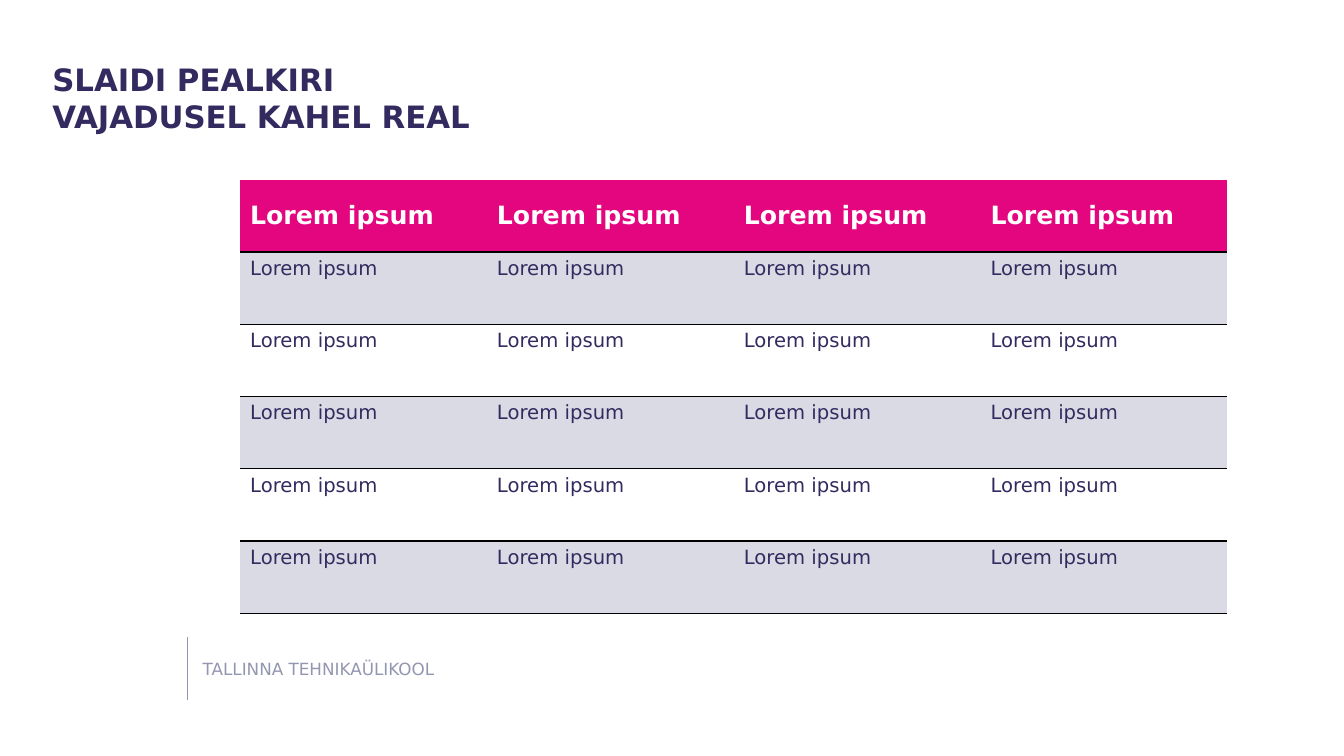
import pptx
import pptx.dml.color
import pptx.enum.shapes
import pptx.enum.text
import pptx.oxml
import pptx.oxml.ns
import pptx.util
from pptx.util import Cm

FONT = "DejaVu Sans"
NAVY, GREY, PINK = "332B60", "9396B0", "E4067E"
LILAC, WHITE, BLACK = "DADAE4", "FFFFFF", "000000"
NO_GRID_STYLE = "{2D5ABB26-0587-4C30-8999-92F81FD0307C}"


def colour(value):
    """Return the colour for a hex string."""
    return pptx.dml.color.RGBColor.from_string(value)


def add_run(para, text, size, ink, bold=False):
    """Append one formatted run to a paragraph."""
    span = para.add_run()
    span.text = text
    span.font.name = FONT
    span.font.size = pptx.util.Pt(size)
    span.font.bold = bold
    span.font.color.rgb = colour(ink)


def clear_frame(frame):
    """Make a text frame wrap, start at the top and have no margins."""
    frame.word_wrap = True
    frame.auto_size = pptx.enum.text.MSO_AUTO_SIZE.NONE
    frame.vertical_anchor = pptx.enum.text.MSO_ANCHOR.TOP
    frame.margin_left = frame.margin_right = 0
    frame.margin_top = frame.margin_bottom = 0


def set_title(page, lines):
    """Place the title and write its lines with breaks between them."""
    title = page.shapes.title
    title.left, title.top = Cm(1.32), Cm(1.52)
    title.width, title.height = Cm(24.51), Cm(2.31)
    clear_frame(title.text_frame)
    para = title.text_frame.paragraphs[0]
    para.alignment = pptx.enum.text.PP_ALIGN.LEFT
    para.line_spacing = pptx.util.Pt(26.4)
    for index, line in enumerate(lines):
        if index:
            para.add_line_break()
        add_run(para, line, 22, NAVY, bold=True)


def add_footer(page, text):
    """Add the footer text and the thin rule to its left."""
    box = page.shapes.add_textbox(Cm(5.11), Cm(16.59), Cm(7.67), Cm(0.48))
    clear_frame(box.text_frame)
    add_run(box.text_frame.paragraphs[0], text, 12, GREY)
    rule = page.shapes.add_connector(
        pptx.enum.shapes.MSO_CONNECTOR.STRAIGHT,
        Cm(4.72), Cm(16.05), Cm(4.72), Cm(17.63))
    rule.line.color.rgb = colour(GREY)
    rule.line.width = pptx.util.Pt(0.5)
    properties = rule._element.spPr
    properties.append(properties.makeelement(pptx.oxml.ns.qn("a:effectLst"), {}))


def add_bottom_border(cell):
    """Draw a one-point black line under a table cell."""
    border = pptx.oxml.parse_xml(
        f'<a:lnB {pptx.oxml.ns.nsdecls("a")} w="{pptx.util.Pt(1)}">'
        f'<a:solidFill><a:srgbClr val="{BLACK}"/></a:solidFill></a:lnB>')
    cell._tc.get_or_add_tcPr().insert(0, border)


def fill_cell(cell, text, row):
    """Write and colour a cell according to its row."""
    header = row == 0
    fill = PINK if header else LILAC if row % 2 else WHITE
    cell.fill.solid()
    cell.fill.fore_color.rgb = colour(fill)
    para = cell.text_frame.paragraphs[0]
    if header:
        cell.vertical_anchor = pptx.enum.text.MSO_ANCHOR.MIDDLE
        add_run(para, text, 18, WHITE, bold=True)
    else:
        add_run(para, text, 14, NAVY)
    add_bottom_border(cell)


def add_striped_table(page, rows):
    """Add the table with a header and alternating row fills."""
    width, height = Cm(6.22), Cm(1.82)
    count = len(rows[0])
    table = page.shapes.add_table(
        len(rows), count, Cm(6.05), Cm(4.53),
        width * count, height * len(rows)).table
    style = table._tbl.tblPr.find(pptx.oxml.ns.qn("a:tableStyleId"))
    style.text = NO_GRID_STYLE
    for row, texts in enumerate(rows):
        for column, text in enumerate(texts):
            fill_cell(table.cell(row, column), text, row)


def main():
    """Build and save the deck."""
    deck = pptx.Presentation()
    deck.slide_width, deck.slide_height = Cm(33.87), Cm(19.05)
    page = deck.slides.add_slide(deck.slide_layouts.get_by_name("Title Only"))
    add_footer(page, "TALLINNA TEHNIKAÜLIKOOL")
    set_title(page, ["SLAIDI PEALKIRI", "VAJADUSEL KAHEL REAL"])
    add_striped_table(page, [["Lorem ipsum"] * 4] * 6)
    deck.save("out.pptx")


if __name__ == "__main__":
    main()
